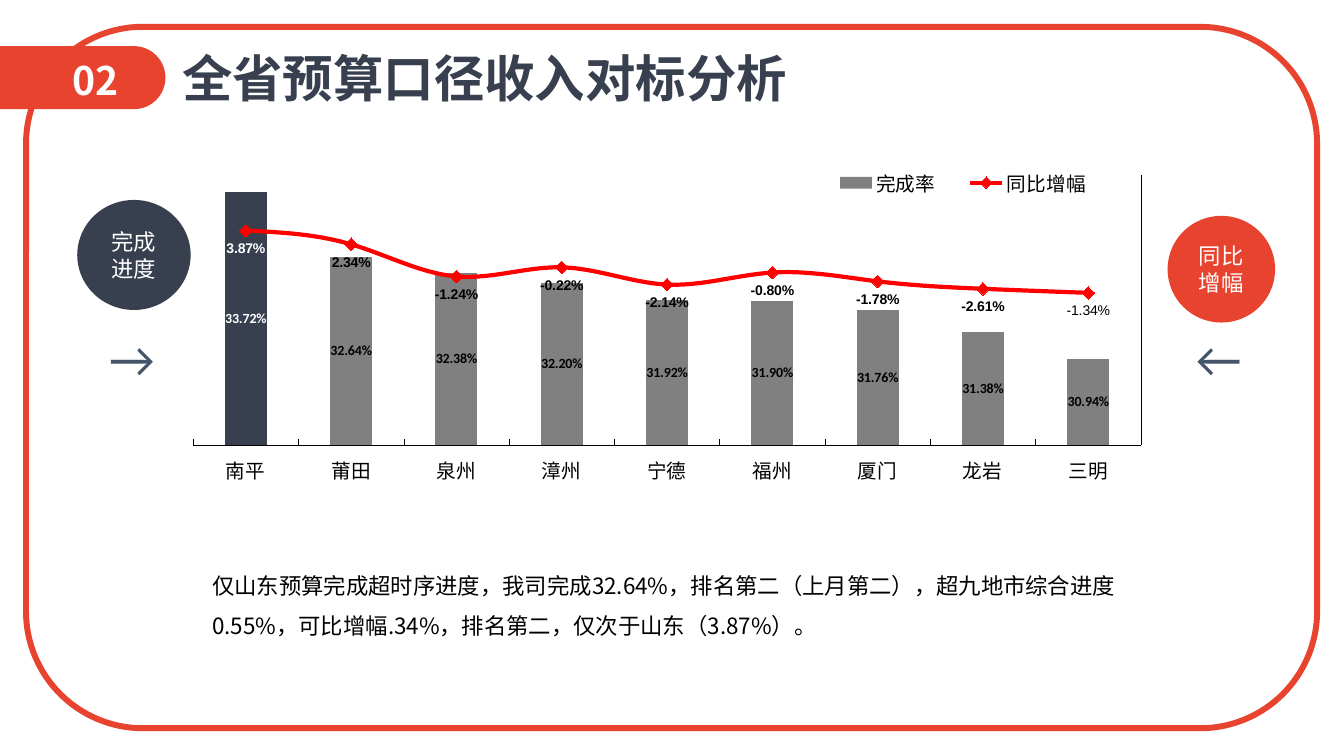
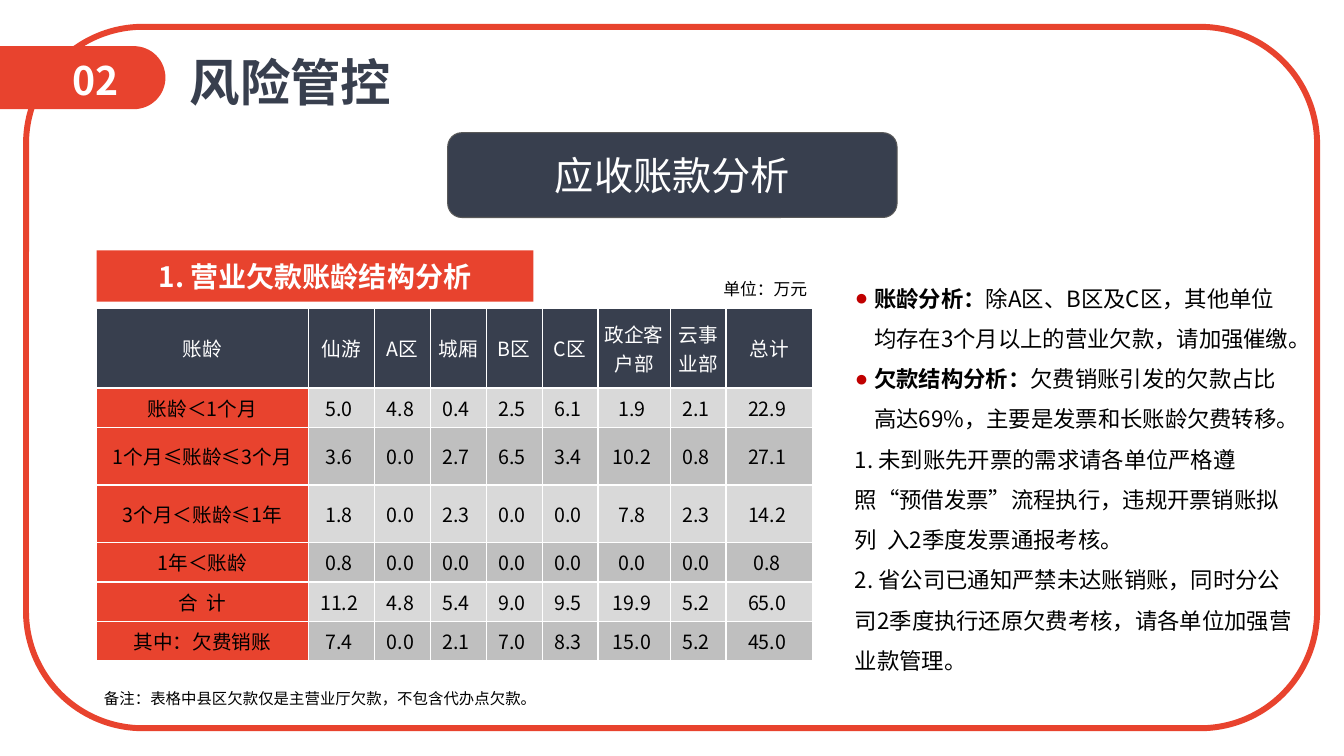
from math import cos, pi, sin

from lxml.etree import SubElement
from pptx import Presentation
from pptx.chart.data import CategoryChartData
from pptx.dml.color import RGBColor
from pptx.enum.chart import (XL_CHART_TYPE, XL_LABEL_POSITION, XL_LEGEND_POSITION,
                             XL_MARKER_STYLE, XL_TICK_LABEL_POSITION, XL_TICK_MARK)
from pptx.enum.shapes import MSO_SHAPE
from pptx.enum.text import MSO_ANCHOR, PP_ALIGN
from pptx.oxml import parse_xml
from pptx.oxml.ns import nsdecls, qn
from pptx.util import Emu, Inches, Pt

RED = RGBColor(0xE8, 0x43, 0x2E)
NAVY = RGBColor(0x38, 0x3F, 0x4E)
SLATE = RGBColor(0x44, 0x54, 0x6A)
BRIGHT = RGBColor(0xFF, 0x00, 0x00)
CRIMSON = RGBColor(0xC0, 0x00, 0x00)
GRAY = RGBColor(0x80, 0x80, 0x80)
EDGE = RGBColor(0x59, 0x59, 0x59)
LIGHT = RGBColor(0xD9, 0xD9, 0xD9)
MID = RGBColor(0xBF, 0xBF, 0xBF)
WHITE = RGBColor(0xFF, 0xFF, 0xFF)
BLACK = RGBColor(0x00, 0x00, 0x00)
FONT = "Noto Sans CJK SC"
COLS, ROWS, UNIT = 160, 90, 76200


def g(n):
    """Turn grid columns or rows into a length."""
    return Emu(round(n * UNIT))


def style(font, size, color=BLACK, bold=False, name=FONT):
    """Set the look of a font, East Asian face included."""
    font.size, font.bold, font.name = Pt(size), bold, name
    font.color.rgb = color
    if name == FONT:
        latin = font._rPr.find(qn("a:latin"))
        latin.addnext(parse_xml(f'<a:ea {nsdecls("a")} typeface="{name}"/>'))


def layout_xml(x, y, w, h, inner=False):
    """Return a manual chart layout in shares of the chart area."""
    target = '<c:layoutTarget val="inner"/>' if inner else ""
    sizes = "".join(f'<c:{k} val="{v}"/>' for k, v in zip("xywh", (x, y, w, h)))
    return parse_xml(f'<c:layout {nsdecls("c")}><c:manualLayout>{target}<c:xMode val="edge"/>'
                     f'<c:yMode val="edge"/>{sizes}</c:manualLayout></c:layout>')


class Deck:
    """Holds the shared style and the current slide."""

    def __init__(self):
        """Start an empty deck on the grid."""
        self.prs = Presentation()
        self.prs.slide_width, self.prs.slide_height = g(COLS), g(ROWS)
        self.s = None

    def slide(self, number, title, x, y):
        """Add a slide with its band, number, frame and title."""
        self.s = self.prs.slides.add_slide(self.prs.slide_layouts[6])
        self.band(19.7, 5.5, 7.5)
        self.text((7.4, 6.1, 12.3, 6.9), [[(number, True)]], 28, WHITE)
        self.shape(MSO_SHAPE.ROUNDED_RECTANGLE, (3.1, 3.2, 153.7, 83.5), line=RED, weight=4.25)
        self.text((x, y, len(title) * 6 + 2.4, 8.5), [[(title, True)]], 36, NAVY, wrap=False)

    def band(self, width, top, height):
        """Draw the band from the left edge with a half-round end."""
        rad = height / 2
        angles = [pi * i / 32 - pi / 2 for i in range(33)]
        arc = [(g(width - rad + rad * cos(a)), g(top + rad + rad * sin(a))) for a in angles]
        fb = self.s.shapes.build_freeform(0, g(top))
        fb.add_line_segments(arc + [(0, g(top + height))], close=True)
        self.paint(fb.convert_to_shape(), RED)

    def paint(self, sp, fill=None, line=None, weight=1):
        """Set fill and line, without shadow."""
        sp.shadow.inherit = False
        if fill is None:
            sp.fill.background()
        else:
            sp.fill.solid()
            sp.fill.fore_color.rgb = fill
        if line is None:
            sp.line.fill.background()
        else:
            sp.line.color.rgb, sp.line.width = line, Pt(weight)

    def shape(self, kind, box, fill=None, line=None, weight=1, label=None, size=16, bold=False):
        """Add a preset shape with an optional centred label."""
        sp = self.s.shapes.add_shape(kind, *map(g, box))
        self.paint(sp, fill, line, weight)
        if label:
            sp.text_frame.word_wrap = True
            sp.text_frame.vertical_anchor = MSO_ANCHOR.MIDDLE
            self.add_text(sp.text_frame, [[(label, bold)]], size, WHITE, align=PP_ALIGN.CENTER)

    def text(self, box, paras, size, color=BLACK, wrap=True, anchor=MSO_ANCHOR.TOP, **look):
        """Add a text box."""
        tf = self.s.shapes.add_textbox(*map(g, box)).text_frame
        tf.word_wrap, tf.vertical_anchor = wrap, anchor
        self.add_text(tf, paras, size, color, **look)

    def add_text(self, tf, paras, size, color, align=PP_ALIGN.LEFT, spacing=None, bullets=0, name=FONT):
        """Add paragraphs of (text, bold) runs, the first few bulleted."""
        for i, runs in enumerate(paras):
            p = tf.add_paragraph() if i else tf.paragraphs[0]
            if i < bullets:
                self.bullet(p)
            p.alignment, p.line_spacing = align, spacing
            for content, bold in runs:
                r = p.add_run()
                r.text = content
                style(r.font, size, color, bold, name)

    def bullet(self, p):
        """Give a paragraph a hanging round bullet."""
        pPr = p._p.get_or_add_pPr()
        pPr.set("marL", str(Inches(0.19)))
        pPr.set("indent", str(Inches(-0.24)))
        SubElement(SubElement(pPr, qn("a:buClr")), qn("a:srgbClr")).set("val", str(CRIMSON))
        SubElement(pPr, qn("a:buFont")).set("typeface", "Arial")
        SubElement(pPr, qn("a:buChar")).set("char", "●")

    def table(self, x, y, widths, heights, rows):
        """Add a table with a dark head row, a red first column and bands."""
        box = map(g, (x, y, sum(widths), sum(heights)))
        tbl = self.s.shapes.add_table(len(rows), len(widths), *box).table
        tbl.first_row = tbl.horz_banding = False
        for col, w in zip(tbl.columns, widths):
            col.width = g(w)
        for i, (row, h) in enumerate(zip(rows, heights)):
            tbl.rows[i].height = g(h)
            for j, value in enumerate(row):
                fill = NAVY if i == 0 else RED if j == 0 else (MID, LIGHT)[i % 2]
                content = value if isinstance(value, str) else f"{value:.1f} "
                self.cell(tbl.cell(i, j), content, fill, BLACK if i else WHITE)

    def cell(self, cell, content, fill, color):
        """Fill one table cell and rule it in white."""
        cell.margin_left = cell.margin_right = cell.margin_top = cell.margin_bottom = 0
        cell.vertical_anchor = MSO_ANCHOR.MIDDLE
        paras = [[(part, False)] for part in content.split("\n")]
        self.add_text(cell.text_frame, paras, 14, color, align=PP_ALIGN.CENTER)
        tcPr = cell._tc.get_or_add_tcPr()
        for side in ("lnL", "lnR", "lnT", "lnB"):
            ln = SubElement(tcPr, qn(f"a:{side}"), w=str(Pt(1)))
            SubElement(SubElement(ln, qn("a:solidFill")), qn("a:srgbClr")).set("val", str(WHITE))
        cell.fill.solid()
        cell.fill.fore_color.rgb = fill

    def combo(self, box, cats, bar, line):
        """Add columns with a smooth line on a second axis."""
        data = CategoryChartData(number_format="0.00%")
        data.categories = cats
        for name, values in (bar, line):
            data.add_series(name, values)
        kind = XL_CHART_TYPE.COLUMN_CLUSTERED
        chart = self.s.shapes.add_chart(kind, *map(g, box), data).chart
        chart.has_title = False
        style(chart.font, 10, name="Arial")
        self.axes(chart)
        self.second_axis(chart)
        self.columns(chart.plots[0])
        self.curve(chart.plots[1].series[0])
        self.legend(chart)

    def axes(self, chart):
        """Set the category axis and the hidden left axis."""
        cat, val = chart.category_axis, chart.value_axis
        cat.major_tick_mark = XL_TICK_MARK.INSIDE
        cat.tick_label_position = XL_TICK_LABEL_POSITION.LOW
        cat.format.line.color.rgb, cat.format.line.width = BLACK, Pt(0.25)
        style(cat.tick_labels.font, 14)
        val.minimum_scale, val.maximum_scale = 0.295, 0.34
        val.has_major_gridlines = False
        val.major_tick_mark = XL_TICK_MARK.NONE
        val.tick_label_position = XL_TICK_LABEL_POSITION.NONE
        val.format.line.fill.background()

    def second_axis(self, chart):
        """Move the second series to a line plot with its own axes."""
        area = chart.element.xpath(".//c:plotArea")[0]
        bars = area.find(qn("c:barChart"))
        ser = bars.findall(qn("c:ser"))[1]
        for flag in ser.findall(qn("c:invertIfNegative")):
            ser.remove(flag)
        plot = parse_xml(f'<c:lineChart {nsdecls("c")}><c:grouping val="standard"/>'
                         '<c:varyColors val="0"/><c:marker val="1"/>'
                         '<c:axId val="111"/><c:axId val="112"/></c:lineChart>')
        plot.insert(2, ser)
        bars.addnext(plot)
        cat = parse_xml(f'<c:catAx {nsdecls("c")}><c:axId val="111"/><c:scaling>'
                        '<c:orientation val="minMax"/></c:scaling><c:delete val="1"/>'
                        '<c:axPos val="b"/><c:crossAx val="112"/></c:catAx>')
        val = parse_xml(f'<c:valAx {nsdecls("c", "a")}><c:axId val="112"/><c:scaling>'
                        '<c:orientation val="minMax"/><c:max val="0.1"/><c:min val="-0.2"/>'
                        '</c:scaling><c:delete val="0"/><c:axPos val="r"/>'
                        '<c:numFmt formatCode="0.00%" sourceLinked="0"/>'
                        '<c:majorTickMark val="none"/><c:minorTickMark val="none"/>'
                        f'<c:tickLblPos val="none"/><c:spPr><a:ln w="{Pt(0.25)}"><a:solidFill>'
                        f'<a:srgbClr val="{BLACK}"/></a:solidFill></a:ln></c:spPr>'
                        '<c:crossAx val="111"/><c:crosses val="max"/>'
                        '<c:crossBetween val="between"/><c:majorUnit val="0.04"/></c:valAx>')
        area.findall(qn("c:valAx"))[-1].addnext(cat)
        cat.addnext(val)
        for old in area.findall(qn("c:layout")):
            area.remove(old)
        area.insert(0, layout_xml(0.006, 0.028, 0.971, 0.821, inner=True))

    def labels(self, ser, position, name):
        """Show bold values on a series, the first one in white."""
        dl = ser.data_labels
        dl.show_value, dl.position = True, position
        dl.number_format, dl.number_format_is_linked = "0.00%", False
        style(dl.font, 10, bold=True, name=name)
        first = ser.points[0].data_label
        style(first.font, 10, WHITE, True, name)
        first.position = position

    def columns(self, plot):
        """Style the columns, the first one dark."""
        plot.gap_width, plot.vary_by_categories = 150, False
        ser = plot.series[0]
        for part, color in ((ser, GRAY), (ser.points[0], NAVY)):
            part.format.fill.solid()
            part.format.fill.fore_color.rgb = color
        self.labels(ser, XL_LABEL_POSITION.CENTER, "Calibri")

    def curve(self, ser):
        """Style the line, its markers and its last label."""
        ser.smooth = True
        ser.format.line.color.rgb, ser.format.line.width = BRIGHT, Pt(3)
        ser.marker.style, ser.marker.size = XL_MARKER_STYLE.DIAMOND, 9
        ser.marker.format.fill.solid()
        ser.marker.format.fill.fore_color.rgb = BRIGHT
        ser.marker.format.line.color.rgb = BRIGHT
        self.labels(ser, XL_LABEL_POSITION.BELOW, "Arial")
        last = ser.points[8].data_label
        r = last.text_frame.paragraphs[0].add_run()
        r.text = "-1.34%"
        style(r.font, 10, name="Arial")
        last.position = XL_LABEL_POSITION.BELOW

    def legend(self, chart):
        """Place the legend at the top right of the plot."""
        chart.has_legend = True
        chart.legend.position = XL_LEGEND_POSITION.BOTTOM
        chart.legend.include_in_layout = False
        style(chart.legend.font, 14)
        box = chart.element.xpath(".//c:legend")[0]
        for old in box.findall(qn("c:layout")):
            box.remove(old)
        box.find(qn("c:legendPos")).addnext(layout_xml(0.64, 0, 0.31, 0.1))


def main():
    """Build both slides."""
    d = Deck()
    d.slide("02", "全省预算口径收入对标分析", 20.5, 5)
    d.combo((22.3, 19.8, 116.2, 39.1),
            ["南平", "莆田", "泉州", "漳州", "宁德", "福州", "厦门", "龙岩", "三明"],
            ("完成率", [0.3372, 0.3264, 0.3238, 0.322, 0.3192, 0.319, 0.3176, 0.3138, 0.3094]),
            ("同比增幅", [0.0387, 0.0234, -0.0124, -0.0022, -0.0214, -0.008, -0.0178, -0.0261, -0.0306]))
    d.shape(MSO_SHAPE.OVAL, (9.2, 23.8, 13.5, 13.1), NAVY, label="完成进度")
    d.shape(MSO_SHAPE.OVAL, (139, 25.7, 12.8, 12.7), RED, label="同比增幅")
    for x, arrow in ((11.8, "→"), (141.2, "←")):
        d.text((x, 38.4, 8.3, 8.5), [[(arrow, False)]], 36, SLATE, wrap=False, name="Calibri")
    d.text((24.1, 65.2, 112.4, 12.2),
           [[("仅山东预算完成超时序进度，我司完成32.64%，排名第二（上月第二），超九地市综合进度0.55%，"
              "可比增幅.34%，排名第二，仅次于山东（3.87%）。", False)]],
           16, anchor=MSO_ANCHOR.MIDDLE, spacing=1.5)

    d.slide("02", "风险管控", 21.4, 5.5)
    d.shape(MSO_SHAPE.ROUNDED_RECTANGLE, (53.3, 15.8, 53.5, 10.1), NAVY, EDGE, 0.75, "应收账款分析", 28)
    d.table(11.5, 36.7, [25.2, 7.9] + [6.65] * 4 + [8.6, 6.65, 10.3],
            [9.5, 4.7, 6.85, 6.85, 4.7, 4.7, 4.7],
            [["账龄", "仙游", "A区", "城厢", "B区", "C区", "政企客户部", "云事\n业部", "总计"],
             ["账龄＜1个月", 5.0, 4.8, 0.4, 2.5, 6.1, 1.9, 2.1, 22.9],
             ["1个月≤账龄≤3个月", 3.6, 0.0, 2.7, 6.5, 3.4, 10.2, 0.8, 27.1],
             ["3个月＜账龄≤1年", 1.8, 0.0, 2.3, 0.0, 0.0, 7.8, 2.3, 14.2],
             ["1年＜账龄", 0.8, 0.0, 0.0, 0.0, 0.0, 0.0, 0.0, 0.8],
             ["合  计", 11.2, 4.8, 5.4, 9.0, 9.5, 19.9, 5.2, 65.0],
             ["其中：欠费销账", 7.4, 0.0, 2.1, 7.0, 8.3, 15.0, 5.2, 45.0]])
    d.text((79.3, 32.6, 18, 3.6), [[("单位：万元", False)]], 12, align=PP_ALIGN.RIGHT)
    d.text((11.2, 81.4, 61.9, 3.4), [[("备注：表格中县区欠款仅是主营业厅欠款，不包含代办点欠款。", False)]], 11)
    d.text((100.6, 31.7, 54.8, 49.7),
           [[("账龄分析：", True), ("除A区、B区及C区，其他单位均存在3个月以上的营业欠款，请加强催缴。", False)],
            [("欠款结构分析：", True), ("欠费销账引发的欠款占比高达69%，主要是发票和长账龄欠费转移。", False)],
            [("1. 未到账先开票的需求请各单位严格遵照“预借发票”流程执行，"
              "违规开票销账拟列  入2季度发票通报考核。", False)],
            [("2. 省公司已通知严禁未达账销账，同时分公司2季度执行还原欠费考核，请各单位加强营业款管理。", False)]],
           16, spacing=1.5, bullets=2)
    d.shape(MSO_SHAPE.RECTANGLE, (11.5, 29.8, 52, 6.1), RED, label="1. 营业欠款账龄结构分析", size=20, bold=True)
    d.prs.save("out.pptx")


if __name__ == "__main__":
    main()
